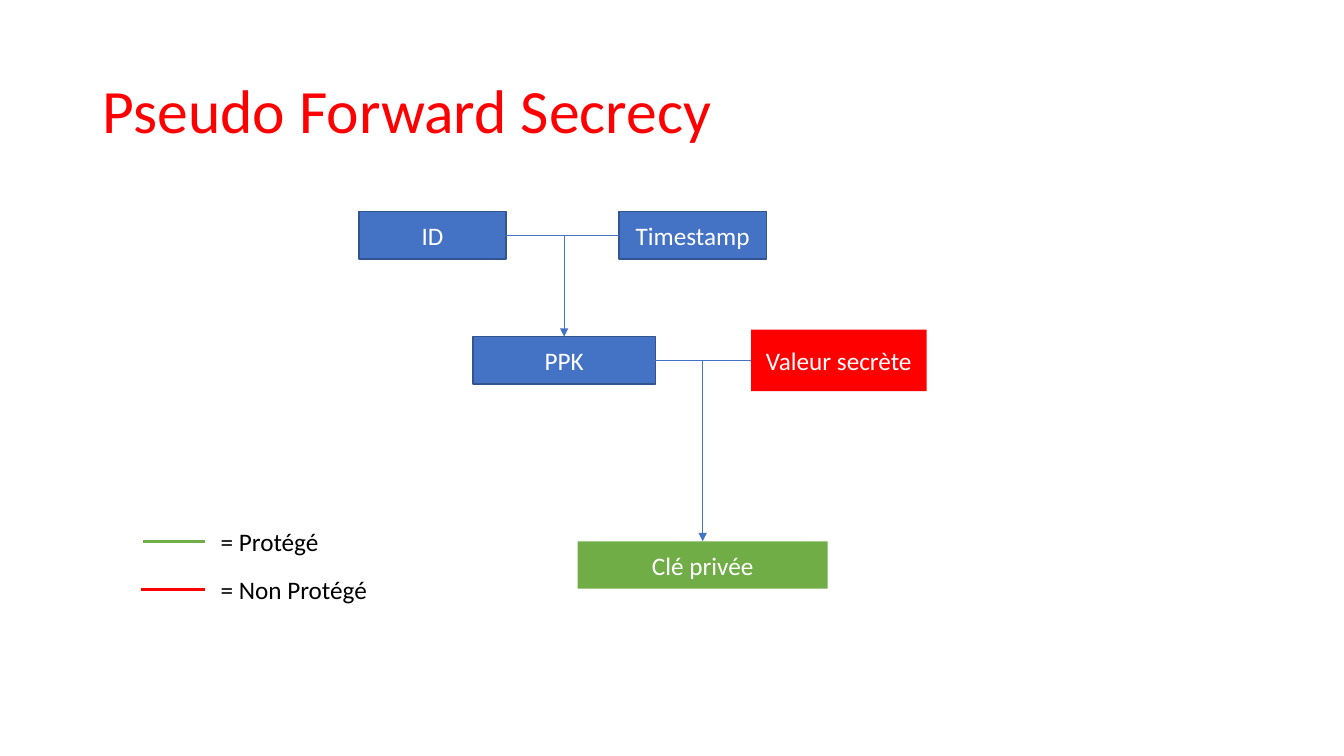
from dataclasses import dataclass

from lxml import etree
from pptx import Presentation
from pptx.dml.color import RGBColor
from pptx.enum.shapes import MSO_CONNECTOR, MSO_SHAPE
from pptx.enum.text import MSO_ANCHOR, PP_ALIGN
from pptx.oxml.ns import qn
from pptx.util import Inches, Pt

RECTANGLE = MSO_SHAPE.RECTANGLE
STRAIGHT = MSO_CONNECTOR.STRAIGHT
MIDDLE, TOP = MSO_ANCHOR.MIDDLE, MSO_ANCHOR.TOP
LEFT, CENTER = PP_ALIGN.LEFT, PP_ALIGN.CENTER


@dataclass(frozen=True)
class Theme:
    font: str = "Calibri"
    title_size: float = 44
    body_size: float = 18
    border_width: float = 1
    link_width: float = 0.5
    key_width: float = 2.25
    public: str = "4472C4"
    border: str = "325490"
    protected: str = "70AD47"
    unprotected: str = "FF0000"
    light: str = "FFFFFF"
    dark: str = "000000"


THEME = Theme()


def rgb(color):
    return RGBColor.from_string(color)


def write(shape, text, size=THEME.body_size, color=THEME.dark, align=LEFT,
          anchor=TOP, spacing=1.0, wrap=True):
    frame = shape.text_frame
    frame.word_wrap = wrap
    frame.vertical_anchor = anchor
    paragraph = frame.paragraphs[0]
    paragraph.alignment = align
    paragraph.line_spacing = spacing
    run = paragraph.add_run()
    run.text = text
    run.font.name = THEME.font
    run.font.size = Pt(size)
    run.font.color.rgb = rgb(color)


def add_text(slide, box, text, **style):
    write(slide.shapes.add_textbox(*map(Inches, box)), text, **style)


def add_node(slide, box, text, fill, border=None):
    node = slide.shapes.add_shape(RECTANGLE, *map(Inches, box))
    node.shadow.inherit = False
    node.fill.solid()
    node.fill.fore_color.rgb = rgb(fill)
    if border:
        node.line.color.rgb = rgb(border)
        node.line.width = Pt(THEME.border_width)
    else:
        node.line.fill.background()
    write(node, text, color=THEME.light, align=CENTER, anchor=MIDDLE)


def add_line(slide, start, end, color=THEME.public, width=THEME.link_width, arrow=False):
    line = slide.shapes.add_connector(STRAIGHT, *map(Inches, (*start, *end)))
    line.line.color.rgb = rgb(color)
    line.line.width = Pt(width)
    if arrow:
        etree.SubElement(line.line._get_or_add_ln(), qn("a:tailEnd"), type="triangle")
    etree.SubElement(line._element.spPr, qn("a:effectLst"))


def join(slide, left_box, right_box, result_box):
    """Link two nodes side by side and drop an arrow onto their result."""
    x1, x2 = left_box[0] + left_box[2], right_box[0]
    y = left_box[1] + left_box[3] / 2
    middle = result_box[0] + result_box[2] / 2
    add_line(slide, (x1, y), (x2, y))
    add_line(slide, (middle, y), (middle, result_box[1]), arrow=True)


def draw_derivation(slide, box):
    left, top, width, height = box
    node_height = 0.47

    def place(x, y, node_width, tall=node_height):
        return left + x, top + y, node_width, tall

    # Node boxes, from the inputs down to the key
    identity = place(0, 0, 1.46)
    timestamp = place(2.58, 0, 1.46)
    ppk = place(1.13, 1.24, 1.81)
    secret = place(width - 1.74, 1.17, 1.74, 0.61)
    private_key = place(2.17, height - node_height, 2.48)

    for node_box, text in ((identity, "ID"), (timestamp, "Timestamp"), (ppk, "PPK")):
        add_node(slide, node_box, text, THEME.public, THEME.border)
    add_node(slide, secret, "Valeur secrète", THEME.unprotected)
    add_node(slide, private_key, "Clé privée", THEME.protected)

    # Each pair of inputs yields the node below
    join(slide, identity, timestamp, ppk)
    join(slide, ppk, secret, private_key)


def draw_legend(slide, box):
    left, top, width, height = box
    entries = (("= Protégé", THEME.protected, 0.02),
               ("= Non Protégé", THEME.unprotected, 0))
    row_height = height / len(entries)
    line_end, label_start = 0.63, 0.69
    for row, (text, color, inset) in enumerate(entries):
        y = top + row * row_height
        add_line(slide, (left + inset, y + 0.2), (left + line_end, y + 0.2),
                 color, THEME.key_width)
        add_text(slide, (left + label_start, y, width - label_start, 0.4), text, wrap=False)


def main():
    deck = Presentation()
    deck.slide_width, deck.slide_height = Inches(13.33), Inches(7.5)
    slide = deck.slides.add_slide(deck.slide_layouts[6])
    add_text(slide, (0.92, 0.4, 11.5, 1.45), "Pseudo Forward Secrecy", spacing=0.9,
             size=THEME.title_size, color=THEME.unprotected, anchor=MIDDLE)
    draw_derivation(slide, (3.56, 2.1, 5.63, 3.74))
    draw_legend(slide, (1.4, 5.17, 2.49, 0.95))
    deck.save("out.pptx")


if __name__ == "__main__":
    main()
